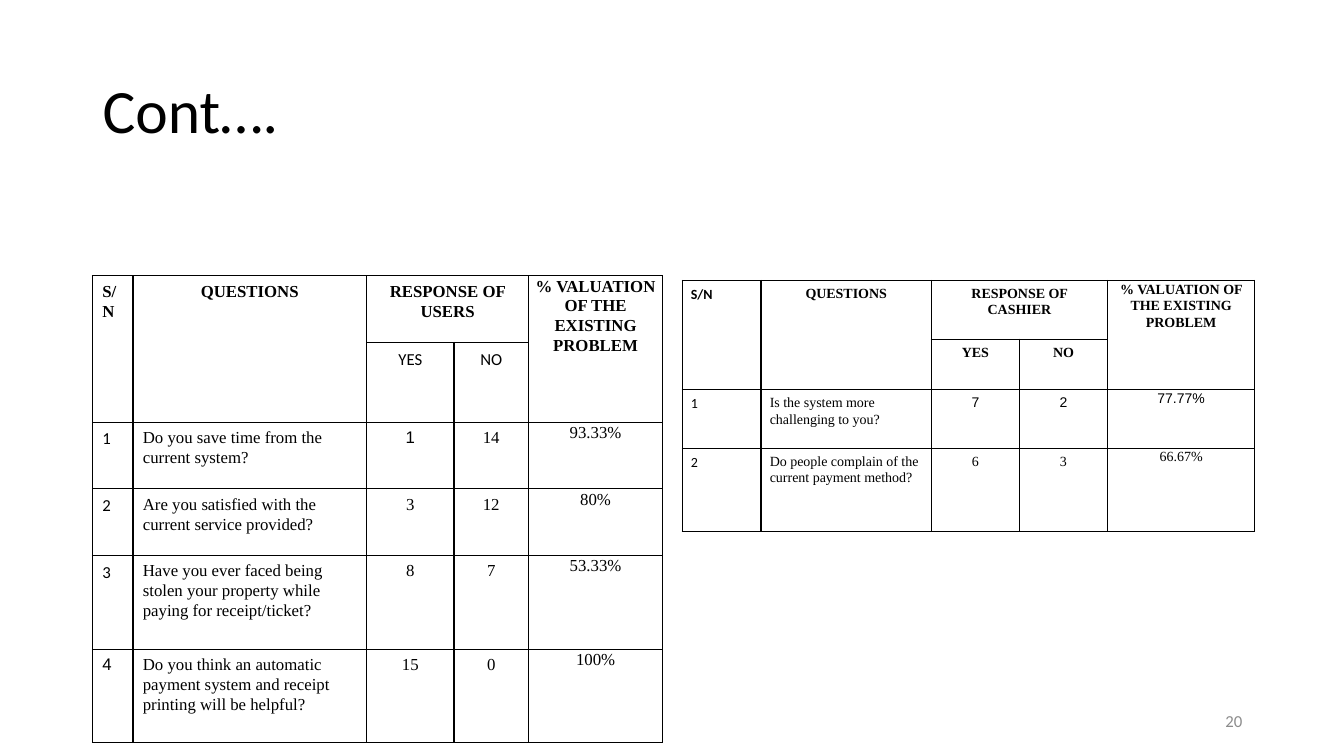
"""Build a slide with two survey result tables."""
import pptx
import pptx.dml.color
import pptx.enum.text
import pptx.oxml
import pptx.oxml.ns
import pptx.util

Cm = pptx.util.Cm
ALIGN = pptx.enum.text.PP_ALIGN
ANCHOR = pptx.enum.text.MSO_ANCHOR
COLORS = {"text": "000000", "border": "000000", "number": "8C8C8C"}
SERIF, SANS, ARIAL = "Times New Roman", "Calibri", "Arial"

USERS = [
    ["S/N", "QUESTIONS", "RESPONSE OF USERS", "", "% VALUATION OF THE EXISTING PROBLEM"],
    ["", "", "YES", "NO", ""],
    ["1", "Do you save time from the current system?", "1", "14", "93.33%"],
    ["2", "Are you satisfied with the current service provided?", "3", "12", "80%"],
    ["3", "Have you ever faced being stolen your property while paying for receipt/ticket?",
     "8", "7", "53.33%"],
    ["4", "Do you think an automatic payment system and receipt printing will be helpful?",
     "15", "0", "100%"],
]
USER_FONTS = {(1, 2): SANS, (1, 3): SANS, (2, 0): SANS, (2, 2): ARIAL,
              (3, 0): SANS, (4, 0): SANS, (5, 0): ARIAL}
CASHIERS = [
    ["S/N", "QUESTIONS", "RESPONSE OF CASHIER", "", "% VALUATION OF THE EXISTING PROBLEM"],
    ["", "", "YES", "NO", ""],
    ["1", "Is the system more challenging to you?", "7", "2", "77.77%"],
    ["2", "Do people complain of the current payment method?", "6", "3", "66.67%"],
]
CASHIER_FONTS = {(0, 0): SANS, (2, 0): SANS, (2, 2): ARIAL, (2, 3): ARIAL,
                 (2, 4): ARIAL, (3, 0): SANS}


def write(tf, text, size=12, font=SANS, color="text", bold=False, align=ALIGN.LEFT, spacing=1.0):
    """Write one formatted paragraph into a text frame."""
    p = tf.paragraphs[0]
    p.alignment, p.line_spacing = align, spacing
    r = p.add_run()
    r.text = text
    r.font.size, r.font.name, r.font.bold = pptx.util.Pt(size), font, bold
    r.font.color.rgb = pptx.dml.color.RGBColor.from_string(COLORS[color])


def add_borders(cell):
    """Draw a one-point line on each side of a cell."""
    tc_pr = cell._tc.get_or_add_tcPr()
    for i, side in enumerate(("lnL", "lnR", "lnT", "lnB")):
        tc_pr.insert(i, pptx.oxml.parse_xml(
            f'<a:{side} {pptx.oxml.ns.nsdecls("a")} w="12700"><a:solidFill>'
            f'<a:srgbClr val="{COLORS["border"]}"/></a:solidFill></a:{side}>'))


def add_survey(s, left, top, widths, heights, rows, fonts, size, insets, bold_rows):
    """Add a survey table with a two-row merged header."""
    table = s.shapes.add_table(len(rows), len(widths), Cm(left), Cm(top),
                               Cm(sum(widths)), Cm(sum(heights))).table
    table.first_row = table.horz_banding = False
    for column, width in zip(table.columns, widths):
        column.width = Cm(width)
    for row, height in zip(table.rows, heights):
        row.height = Cm(height)
    for col in (0, 1, 4):
        table.cell(0, col).merge(table.cell(1, col))
    table.cell(0, 2).merge(table.cell(0, 3))
    for i, row in enumerate(rows):
        for j, text in enumerate(row):
            cell = table.cell(i, j)
            cell.fill.background()
            add_borders(cell)
            side, edge = (0, 0) if j == 4 else insets
            cell.margin_left = cell.margin_right = Cm(side)
            cell.margin_top = cell.margin_bottom = Cm(edge)
            if text:
                centred = j > 1 or (i == 0 and j == 1)
                write(cell.text_frame, text, size=size, font=fonts.get((i, j), SERIF),
                      bold=i < bold_rows, spacing=1.07,
                      align=ALIGN.CENTER if centred else ALIGN.LEFT)


def add_title(s, text):
    """Place and fill the title placeholder."""
    sp = s.shapes.title
    sp.left, sp.top, sp.width, sp.height = Cm(2.33), Cm(1.02), Cm(29.21), Cm(3.68)
    sp.text_frame.vertical_anchor = ANCHOR.MIDDLE
    write(sp.text_frame, text, size=44, spacing=0.9)


def add_page_number(s, text):
    """Add the page number at the lower right."""
    tf = s.shapes.add_textbox(Cm(23.94), Cm(17.65), Cm(7.62), Cm(1.02)).text_frame
    tf.word_wrap = True
    tf.vertical_anchor = ANCHOR.MIDDLE
    write(tf, text, color="number", align=ALIGN.RIGHT)


def main():
    """Build and save the presentation."""
    prs = pptx.Presentation()
    prs.slide_width, prs.slide_height = Cm(33.87), Cm(19.05)
    s = prs.slides.add_slide(prs.slide_layouts[5])
    add_title(s, "Cont….")
    add_survey(s, 2.33, 6.95, [1.02, 5.89, 2.2, 1.88, 3.38],
               [1.68, 1.99, 1.68, 1.68, 2.36, 2.36],
               USERS, USER_FONTS, size=12, insets=(0.25, 0.13), bold_rows=1)
    add_survey(s, 17.19, 7.07, [1.99, 4.29, 2.22, 2.22, 3.71], [1.48, 1.27, 1.48, 2.1],
               CASHIERS, CASHIER_FONTS, size=10, insets=(0.22, 0.11), bold_rows=2)
    add_page_number(s, "20")
    prs.save("out.pptx")


if __name__ == "__main__":
    main()
